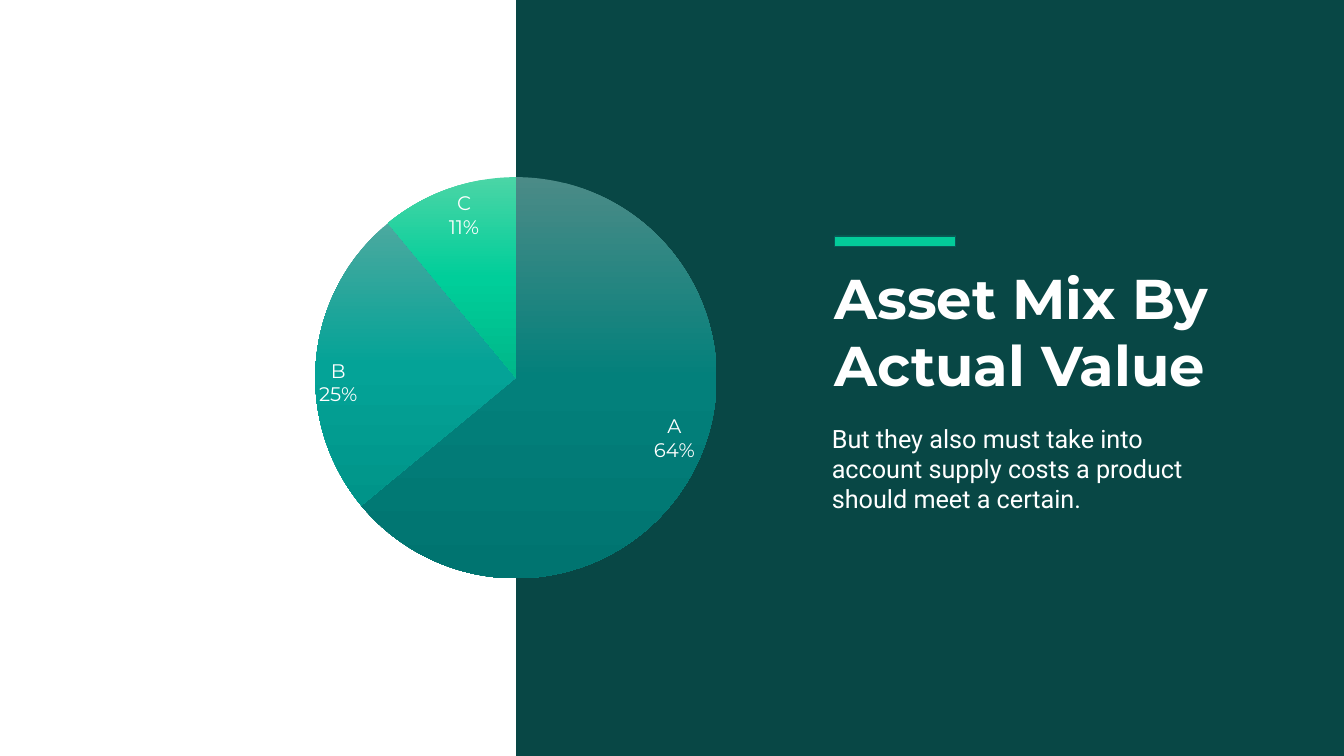
import copy

import pptx
import pptx.chart.data
import pptx.dml.color
import pptx.enum.chart
import pptx.enum.shapes
import pptx.enum.text
import pptx.oxml
import pptx.oxml.ns
import pptx.util

Pt = pptx.util.Pt
SLIDE_WIDTH, SLIDE_HEIGHT = 1919.52, 1080
PANEL_LEFT = 737.28
SLICES = [
    ("A", 64, ("4B8B87", "03807B", "007470")),
    ("B", 25, ("4BA99F", "04A397", "009489")),
    ("C", 11, ("4BD5A6", "00CE9A", "00B789")),
]


def color(value):
    """Return the colour for a hex string."""
    return pptx.dml.color.RGBColor.from_string(value)


def format_font(font, size, name, bold=False):
    """Give a font its size, family and weight in white."""
    font.size = Pt(size)
    font.name = name
    font.bold = bold
    font.color.rgb = color("FFFFFF")


def place(shape, left, top, width, height):
    """Move and size a shape in points."""
    shape.left, shape.top = Pt(left), Pt(top)
    shape.width, shape.height = Pt(width), Pt(height)


def write_text(shape, text, size, name, bold=False, inset=(7.2, 3.6)):
    """Write left-aligned, wrapped text from the top of a shape."""
    frame = shape.text_frame
    frame.word_wrap = True
    frame.auto_size = pptx.enum.text.MSO_AUTO_SIZE.NONE
    frame.vertical_anchor = pptx.enum.text.MSO_ANCHOR.TOP
    frame.margin_left = frame.margin_right = Pt(inset[0])
    frame.margin_top = frame.margin_bottom = Pt(inset[1])
    paragraph = frame.paragraphs[0]
    paragraph.alignment = pptx.enum.text.PP_ALIGN.LEFT
    run = paragraph.add_run()
    run.text = text
    format_font(run.font, size, name, bold)


def add_rectangle(slide, left, top, width, height, fill, line=None):
    """Add a flat rectangle with an optional outline."""
    shape = slide.shapes.add_shape(
        pptx.enum.shapes.MSO_SHAPE.RECTANGLE, Pt(left), Pt(top), Pt(width), Pt(height))
    shape.shadow.inherit = False
    shape.fill.solid()
    shape.fill.fore_color.rgb = color(fill)
    if line:
        shape.line.color.rgb = color(line)
        shape.line.width = Pt(1)
    else:
        shape.line.fill.background()


def fill_slice(series, index, shades):
    """Fill a slice with a three-stop gradient from top to bottom."""
    point_format = series.points[index].format
    point_format.line.fill.background()
    fill = point_format.fill
    fill.gradient()
    fill.gradient_angle = 270
    stop_list = series._element.findall(".//" + pptx.oxml.ns.qn("a:gsLst"))[index]
    stop_list.append(copy.deepcopy(stop_list[-1]))
    for stop, position, shade in zip(fill.gradient_stops, (0, 0.5, 1), shades):
        stop.position = position
        stop.color.rgb = color(shade)


def set_plot_area(chart, width, height):
    """Centre the inner plot area, sized as fractions of the chart."""
    plot_area = chart._chartSpace.chart.plotArea
    for layout in plot_area.findall(pptx.oxml.ns.qn("c:layout")):
        plot_area.remove(layout)
    plot_area.insert(0, pptx.oxml.parse_xml(
        f'<c:layout {pptx.oxml.ns.nsdecls("c")}><c:manualLayout>'
        '<c:layoutTarget val="inner"/><c:xMode val="edge"/><c:yMode val="edge"/>'
        f'<c:x val="{(1 - width) / 2:.4f}"/><c:y val="{(1 - height) / 2:.4f}"/>'
        f'<c:w val="{width}"/><c:h val="{height}"/>'
        '</c:manualLayout></c:layout>'))


def add_asset_pie(slide, left, top, width, height):
    """Add the asset mix pie with its labels inside the slices."""
    data = pptx.chart.data.CategoryChartData()
    data.categories = [name for name, value, shades in SLICES]
    data.add_series("Series 1", [value for name, value, shades in SLICES])
    chart = slide.shapes.add_chart(
        pptx.enum.chart.XL_CHART_TYPE.PIE,
        Pt(left), Pt(top), Pt(width), Pt(height), data).chart
    chart.has_legend = False
    chart.has_title = False
    format_font(chart.font, 28, "Montserrat")
    diameter = 573
    set_plot_area(chart, round(diameter / width, 3), round(diameter / height, 3))
    plot = chart.plots[0]
    plot.vary_by_categories = True
    for index, (name, value, shades) in enumerate(SLICES):
        fill_slice(plot.series[0], index, shades)
    plot.has_data_labels = True
    labels = plot.data_labels
    labels.show_category_name = True
    labels.show_percentage = True
    labels.show_value = False
    labels.position = pptx.enum.chart.XL_LABEL_POSITION.INSIDE_END
    format_font(labels.font, 28, "Montserrat")
    separator = pptx.oxml.parse_xml(
        f'<c:separator {pptx.oxml.ns.nsdecls("c")}>\n</c:separator>')
    labels._element.find(pptx.oxml.ns.qn("c:showBubbleSize")).addnext(separator)


def add_message(slide, left, top):
    """Add the accent bar, title and body text."""
    add_rectangle(slide, left + 21.6, top, 172.8, 14.4, "03CB99", line="075A57")
    title = slide.shapes.title
    slide.shapes._spTree.append(title._element)
    place(title, left + 14.4, top + 36, 582.48, 200.88)
    write_text(title, "Asset Mix By Actual Value", 80, "Montserrat", bold=True)
    body = slide.shapes.add_textbox(
        Pt(left), Pt(top + 258.48), Pt(548.64), Pt(147.6))
    write_text(
        body,
        "But they also must take into account supply costs a product should meet a certain.",
        36, "Roboto", inset=(17.28, 8.64))


def main():
    """Build and save the asset mix slide."""
    presentation = pptx.Presentation()
    presentation.slide_width = Pt(SLIDE_WIDTH)
    presentation.slide_height = Pt(SLIDE_HEIGHT)
    slide = presentation.slides.add_slide(presentation.slide_layouts[5])
    slide.background.fill.solid()
    slide.background.fill.fore_color.rgb = color("FFFFFF")
    add_rectangle(slide, PANEL_LEFT, 0, SLIDE_WIDTH - PANEL_LEFT, SLIDE_HEIGHT, "084745")
    add_message(slide, 1170.72, 336.96)
    add_asset_pie(slide, 439.92, 231.84, 594, 615.6)
    presentation.save("out.pptx")


if __name__ == "__main__":
    main()
